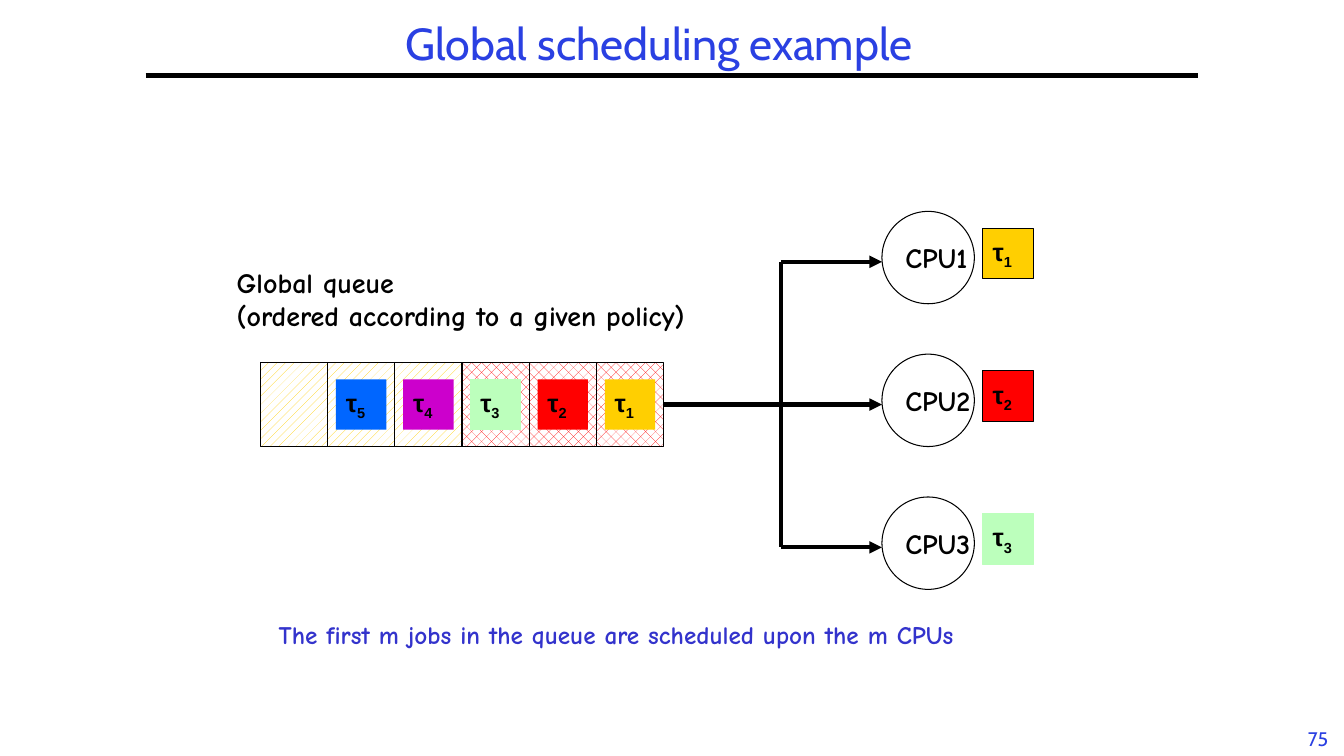
from lxml import etree
from pptx import Presentation
from pptx.dml.color import RGBColor
from pptx.enum.dml import MSO_PATTERN_TYPE
from pptx.enum.shapes import MSO_CONNECTOR, MSO_SHAPE
from pptx.enum.text import MSO_ANCHOR, PP_ALIGN
from pptx.oxml.ns import qn
from pptx.util import Pt

RECT, OVAL = MSO_SHAPE.RECTANGLE, MSO_SHAPE.OVAL
STRAIGHT = MSO_CONNECTOR.STRAIGHT
PCT20, PCT30 = MSO_PATTERN_TYPE.PERCENT_20, MSO_PATTERN_TYPE.PERCENT_30
TOP, MIDDLE = MSO_ANCHOR.TOP, MSO_ANCHOR.MIDDLE
LEFT, CENTER = PP_ALIGN.LEFT, PP_ALIGN.CENTER

COLORS = {
    "black": "000000", "white": "FFFFFF", "title": "2A40E2", "note": "3333CC",
    "gold": "FFCF01", "red": "FF0000", "mint": "BCFFBC",
    "purple": "CC00CC", "blue": "0066FF",
}
JOB_COLORS = {1: "gold", 2: "red", 3: "mint", 4: "purple", 5: "blue"}
CPU_COUNT, SLOT_COUNT = 3, 6
SLOT_W, SLOT_H = 48, 60
QUEUE_X, QUEUE_Y = 186, 259
CPU_X, CPU_Y, CPU_SIZE, CPU_PITCH = 630, 151, 66, 102
TILE = 36
BUS_X, BUS_Y = 558, 187


def rgb(name):
    return RGBColor.from_string(COLORS[name])


class Board:
    def __init__(self, slide, font):
        self.slide, self.font = slide, font

    def put_text(self, sp, text, size=20, color="black", font=None, bold=True,
                 align=LEFT, anchor=TOP, wrap=True, spacing=None, sub=None):
        """Fill a shape with text, one paragraph a line, plus an optional subscript."""
        tf = sp.text_frame
        tf.word_wrap, tf.vertical_anchor = wrap, anchor
        for i, line in enumerate(text.split("\n")):
            p = tf.add_paragraph() if i else tf.paragraphs[0]
            p.alignment, p.line_spacing = align, spacing
            for part in [line, sub] if sub else [line]:
                r = p.add_run()
                r.text = part
                r.font.name, r.font.size = font or self.font, Pt(size)
                r.font.bold, r.font.color.rgb = bold, rgb(color)
        if sub:
            r.font._element.set("baseline", "-25000")

    def label(self, x, y, w, h, text, **style):
        sp = self.slide.shapes.add_textbox(Pt(x), Pt(y), Pt(w), Pt(h))
        self.put_text(sp, text, **style)

    def shape(self, kind, x, y, w, h, fill, line="black", pattern=None):
        sp = self.slide.shapes.add_shape(kind, Pt(x), Pt(y), Pt(w), Pt(h))
        sp.shadow.inherit = False
        if pattern is None:
            sp.fill.solid()
        else:
            sp.fill.patterned()
            sp.fill.pattern = pattern
            sp.fill.back_color.rgb = rgb("white")
        sp.fill.fore_color.rgb = rgb(fill)
        if line:
            sp.line.color.rgb, sp.line.width = rgb(line), Pt(0.75)
        else:
            sp.line.fill.background()
        return sp

    def job(self, number, x, y, line):
        color = JOB_COLORS[number]
        sp = self.shape(RECT, x, y, TILE, TILE, color, line)
        self.put_text(sp, "τ", size=18, font="Arial", anchor=MIDDLE, wrap=False,
                      sub=str(number))

    def line(self, x1, y1, x2, y2, arrow=False):
        cn = self.slide.shapes.add_connector(STRAIGHT, Pt(x1), Pt(y1), Pt(x2), Pt(y2))
        cn.line.color.rgb, cn.line.width = rgb("black"), Pt(3)
        props = cn._element.spPr
        if arrow:
            etree.SubElement(props.get_or_add_ln(), qn("a:tailEnd"), type="triangle")
        etree.SubElement(props, qn("a:effectLst"))
        return cn


def main():
    prs = Presentation()
    prs.slide_width, prs.slide_height = Pt(960), Pt(540)
    s = Board(prs.slides.add_slide(prs.slide_layouts[6]), "Comic Neue")

    s.label(926, 516, 31, 24, "75", size=14, color="title", font="Cabin",
            bold=False, align=CENTER, wrap=False)
    s.line(104, 54, 856, 54)
    s.label(186, -12, 570, 90, "Global scheduling example", size=32, color="title",
            font="Cabin", bold=False, align=CENTER, anchor=MIDDLE, spacing=0.9)
    s.label(162, 186, 341, 80, "Global queue\n(ordered according to a given policy)")
    s.label(192, 439, 576, 29,
            "The first m jobs in the queue are scheduled upon the m CPUs",
            size=18, color="note")

    # The head of the queue is its rightmost slot
    slots = {}
    for n in range(SLOT_COUNT, 0, -1):
        x = QUEUE_X + (SLOT_COUNT - n) * SLOT_W
        fill, pattern = ("red", PCT30) if n <= CPU_COUNT else ("gold", PCT20)
        slots[n] = s.shape(RECT, x, QUEUE_Y, SLOT_W, SLOT_H, fill, pattern=pattern)
        if n in JOB_COLORS:
            s.job(n, x + (SLOT_W - TILE) / 2, QUEUE_Y + (SLOT_H - TILE) / 2,
                  "mint" if n == 3 else None)

    for i in range(CPU_COUNT):
        y = CPU_Y + i * CPU_PITCH
        cpu = s.shape(OVAL, CPU_X, y, CPU_SIZE, CPU_SIZE, "white")
        s.put_text(cpu, f"CPU{i + 1}", anchor=MIDDLE, wrap=False)
        s.job(i + 1, CPU_X + 72, y + 12, "mint" if i == 2 else "black")

    queue_end = QUEUE_X + SLOT_COUNT * SLOT_W
    for i in range(CPU_COUNT):
        y = BUS_Y + i * CPU_PITCH
        from_queue = i == 1
        cn = s.line(queue_end if from_queue else BUS_X, y, CPU_X, y, arrow=True)
        if from_queue:
            cn.begin_connect(slots[1], 3)
    s.line(BUS_X, BUS_Y, BUS_X, BUS_Y + (CPU_COUNT - 1) * CPU_PITCH)

    prs.save("out.pptx")


if __name__ == "__main__":
    main()
